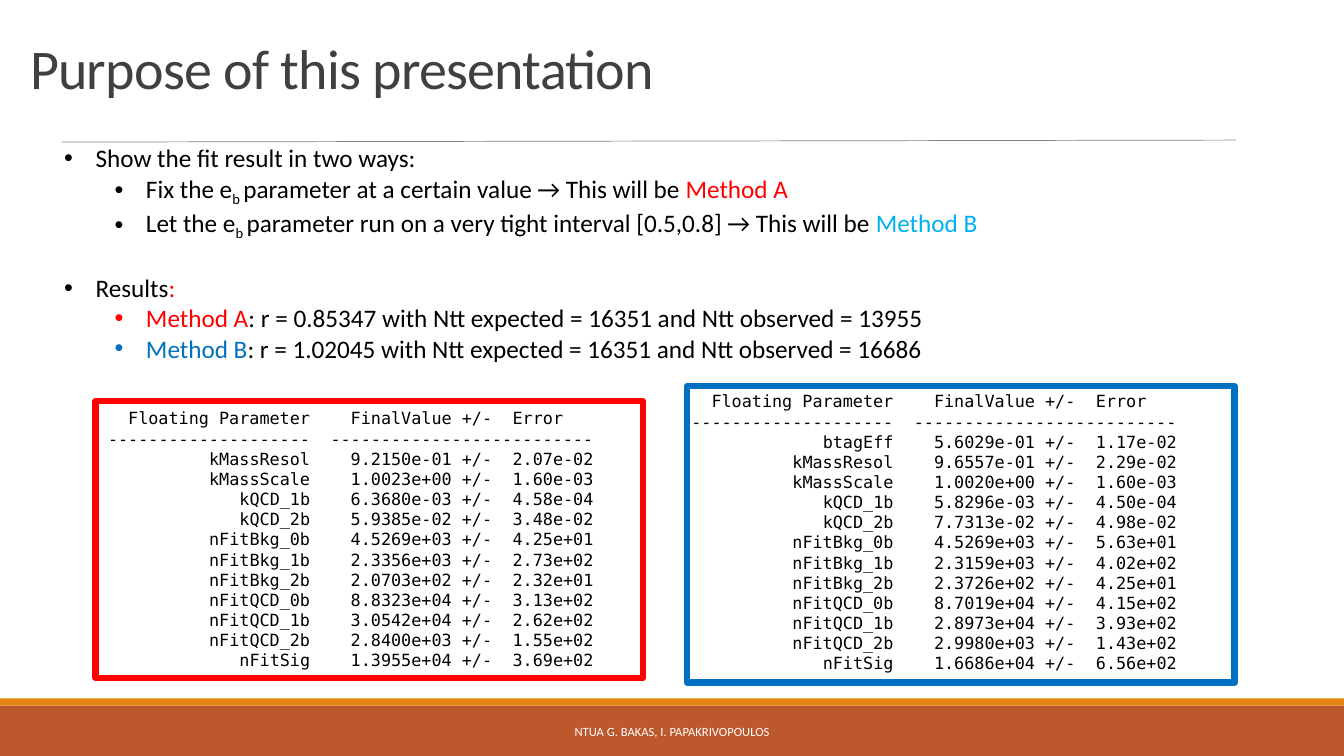
import pptx
import pptx.util
from pptx.dml.color import RGBColor
from pptx.enum.shapes import MSO_CONNECTOR, MSO_SHAPE
from pptx.enum.text import MSO_ANCHOR, PP_ALIGN
from pptx.oxml.ns import qn
from lxml import etree

Cm, Pt = pptx.util.Cm, pptx.util.Pt

BLACK = RGBColor(0x00, 0x00, 0x00)
WHITE = RGBColor(0xFF, 0xFF, 0xFF)
DARK_GRAY = RGBColor(0x40, 0x40, 0x40)
GRAY = RGBColor(0x80, 0x80, 0x80)
RED = RGBColor(0xFF, 0x00, 0x00)
BLUE = RGBColor(0x00, 0x70, 0xC0)
LIGHT_BLUE = RGBColor(0x00, 0xB0, 0xF0)
RUST = RGBColor(0xBD, 0x58, 0x2C)
ORANGE = RGBColor(0xE4, 0x83, 0x12)

# Content
TITLE = "Purpose of this presentation"
FOOTER = "NTUA G. BAKAS, I. PAPAKRIVOPOULOS"
SUBSCRIPT = "b "

# Each bullet: level, space before in points, (text, colour) pieces
BULLETS = [
    (0, 0, [("Show the fit result in two ways:", BLACK)]),
    (1, 0, [("Fix the e", BLACK), (SUBSCRIPT, BLACK),
            ("parameter at a certain value → This will be ", BLACK),
            ("Method A", RED)]),
    (1, 0, [("Let the e", BLACK), (SUBSCRIPT, BLACK),
            ("parameter run on a very tight interval [0.5,0.8] → This will be ", BLACK),
            ("Method B", LIGHT_BLUE)]),
    (0, 22, [("Results", BLACK), (":", RED)]),
    (1, 0, [("Method A", RED),
            (": r = 0.85347 with Ntt expected = 16351 and Ntt observed = 13955", BLACK)]),
    (1, 0, [("Method B", BLUE),
            (": r = 1.02045 with Ntt expected = 16351 and Ntt observed = 16686", BLACK)]),
]

FIT_HEADER = ("Floating Parameter", "FinalValue", "Error")
FIT_RULE = ("-" * 20, "-" * 26)
FIT_A = [
    ("kMassResol", "9.2150e-01", "2.07e-02"),
    ("kMassScale", "1.0023e+00", "1.60e-03"),
    ("kQCD_1b", "6.3680e-03", "4.58e-04"),
    ("kQCD_2b", "5.9385e-02", "3.48e-02"),
    ("nFitBkg_0b", "4.5269e+03", "4.25e+01"),
    ("nFitBkg_1b", "2.3356e+03", "2.73e+02"),
    ("nFitBkg_2b", "2.0703e+02", "2.32e+01"),
    ("nFitQCD_0b", "8.8323e+04", "3.13e+02"),
    ("nFitQCD_1b", "3.0542e+04", "2.62e+02"),
    ("nFitQCD_2b", "2.8400e+03", "1.55e+02"),
    ("nFitSig", "1.3955e+04", "3.69e+02"),
]
FIT_B = [
    ("btagEff", "5.6029e-01", "1.17e-02"),
    ("kMassResol", "9.6557e-01", "2.29e-02"),
    ("kMassScale", "1.0020e+00", "1.60e-03"),
    ("kQCD_1b", "5.8296e-03", "4.50e-04"),
    ("kQCD_2b", "7.7313e-02", "4.98e-02"),
    ("nFitBkg_0b", "4.5269e+03", "5.63e+01"),
    ("nFitBkg_1b", "2.3159e+03", "4.02e+02"),
    ("nFitBkg_2b", "2.3726e+02", "4.25e+01"),
    ("nFitQCD_0b", "8.7019e+04", "4.15e+02"),
    ("nFitQCD_1b", "2.8973e+04", "3.93e+02"),
    ("nFitQCD_2b", "2.9980e+03", "1.43e+02"),
    ("nFitSig", "1.6686e+04", "6.56e+02"),
]

# Each panel: rows, frame colour, frame box, text box (left, top, width, height in cm)
PANELS = [
    (FIT_A, RED, (2.41, 10.11, 13.79, 6.98), (1.96, 10.16, 13.79, 6.93)),
    (FIT_B, BLUE, (17.32, 9.73, 13.79, 7.47), (16.66, 9.73, 16.94, 7.44)),
]

# Tab stops, counted in monospace characters
CHARACTER = 0.255
VALUE_TABS = [(22, "r"), (26, "l"), (42, "l")]
RULE_TABS = [(22, "r"), (24, "l")]


def add_box(slide, shape_box, fill=None, line=None):
    shape = slide.shapes.add_shape(MSO_SHAPE.RECTANGLE, *map(Cm, shape_box))
    shape.shadow.inherit = False
    if fill is None:
        shape.fill.background()
    else:
        shape.fill.solid()
        shape.fill.fore_color.rgb = fill
    if line is None:
        shape.line.fill.background()
    else:
        shape.line.color.rgb = line
        shape.line.width = Pt(4.5)


def add_text_frame(slide, text_box, anchor=MSO_ANCHOR.TOP):
    text_frame = slide.shapes.add_textbox(*map(Cm, text_box)).text_frame
    text_frame.word_wrap = True
    text_frame.vertical_anchor = anchor
    return text_frame


def next_paragraph(text_frame, index):
    return text_frame.add_paragraph() if index else text_frame.paragraphs[0]


def format_run(run, size, color, name="Calibri"):
    run.font.size = Pt(size)
    run.font.name = name
    run.font.color.rgb = color


def add_bullet(paragraph, level):
    properties = paragraph._p.get_or_add_pPr()
    properties.set("marL", str(Cm(0.79 + 1.27 * level)))
    properties.set("indent", str(-Cm(0.79)))
    etree.SubElement(properties, qn("a:buFont")).set("typeface", "Arial")
    etree.SubElement(properties, qn("a:buChar")).set("char", "•")


def add_tabs(paragraph, tabs):
    tab_list = etree.SubElement(paragraph._p.get_or_add_pPr(), qn("a:tabLst"))
    for column, alignment in tabs:
        tab = etree.SubElement(tab_list, qn("a:tab"))
        tab.set("pos", str(Cm(column * CHARACTER)))
        tab.set("algn", alignment)


def add_fit_panel(slide, rows, color, frame_box, text_box):
    add_box(slide, frame_box, line=color)
    lines = [(f"\t{name}\t{value} +/-\t{error}", VALUE_TABS)
             for name, value, error in [FIT_HEADER] + rows]
    lines.insert(1, ("\t" + "\t".join(FIT_RULE), RULE_TABS))
    text_frame = add_text_frame(slide, text_box)
    for index, (text, tabs) in enumerate(lines):
        paragraph = next_paragraph(text_frame, index)
        add_tabs(paragraph, tabs)
        paragraph.text = text
        paragraph.line_spacing = Pt(14.4)
        format_run(paragraph.runs[0], 12, BLACK, "DejaVu Sans Mono")


def main():
    presentation = pptx.Presentation()
    presentation.slide_width, presentation.slide_height = Cm(33.87), Cm(19.05)
    slide = presentation.slides.add_slide(presentation.slide_layouts[6])

    # Footer bands and title rule
    add_box(slide, (0, 17.78, 33.87, 1.27), fill=RUST)
    add_box(slide, (0, 17.6, 33.87, 0.18), fill=ORANGE)
    rule = slide.shapes.add_connector(
        MSO_CONNECTOR.STRAIGHT, Cm(1.55), Cm(3.58), Cm(31.14), Cm(3.53))
    rule.line.color.rgb = GRAY
    rule.line.width = Pt(0.5)
    etree.SubElement(rule._element.spPr, qn("a:effectLst"))

    # Title
    paragraph = add_text_frame(slide, (0.51, 0.58, 29.24, 2.08), MSO_ANCHOR.BOTTOM).paragraphs[0]
    paragraph.text = TITLE
    paragraph.line_spacing = 0.85
    format_run(paragraph.runs[0], 40, DARK_GRAY)
    paragraph.runs[0].font._element.set("spc", "-50")

    # Bullets
    text_frame = add_text_frame(slide, (1.37, 3.47, 29.64, 6.1))
    for index, (level, space_before, pieces) in enumerate(BULLETS):
        paragraph = next_paragraph(text_frame, index)
        add_bullet(paragraph, level)
        paragraph.level = level
        if space_before:
            paragraph.space_before = Pt(space_before)
        for text, color in pieces:
            run = paragraph.add_run()
            run.text = text
            format_run(run, 18, color)
            if text == SUBSCRIPT:
                run.font._element.set("baseline", "-25000")

    # Fit results
    for panel in PANELS:
        add_fit_panel(slide, *panel)

    # Footer
    paragraph = add_text_frame(slide, (10.24, 17.93, 13.39, 1.02), MSO_ANCHOR.MIDDLE).paragraphs[0]
    paragraph.text = FOOTER
    paragraph.alignment = PP_ALIGN.CENTER
    format_run(paragraph.runs[0], 9, WHITE)

    presentation.save("out.pptx")


if __name__ == "__main__":
    main()
